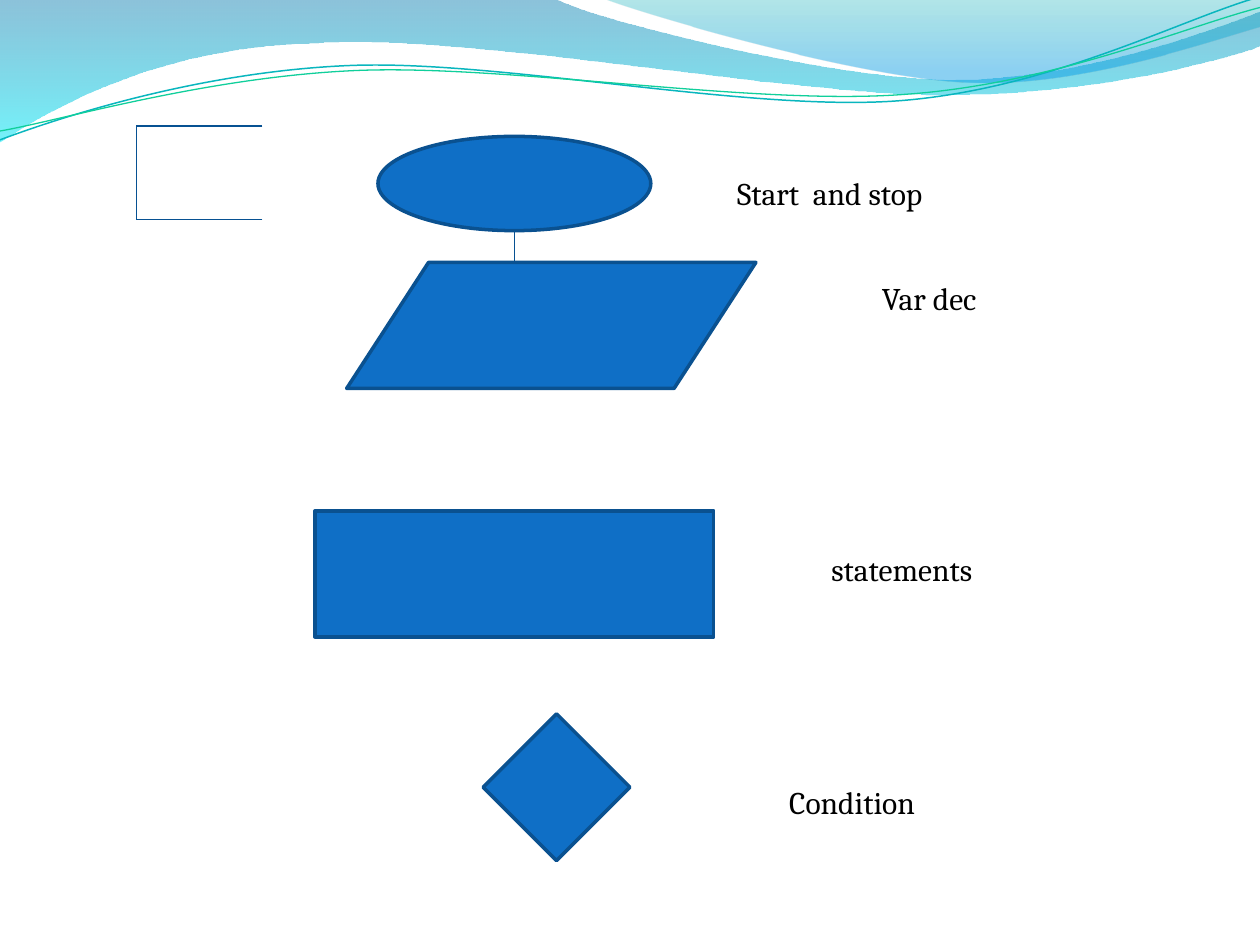
from math import cos, radians, sin

from lxml import etree
from pptx import Presentation
from pptx.dml.color import RGBColor
from pptx.enum.shapes import MSO_CONNECTOR, MSO_SHAPE
from pptx.enum.text import MSO_AUTO_SIZE
from pptx.oxml.ns import qn
from pptx.util import Cm, Pt

STRAIGHT = MSO_CONNECTOR.STRAIGHT
OVAL = MSO_SHAPE.OVAL
RECTANGLE = MSO_SHAPE.RECTANGLE
INPUT_OUTPUT = MSO_SHAPE.FLOWCHART_DATA
DIAMOND = MSO_SHAPE.DIAMOND
FIT_TEXT = MSO_AUTO_SIZE.SHAPE_TO_FIT_TEXT

THEME = {
    "font": "Cambria", "size": 18, "text": "000000",
    "fill": "0F6FC6", "outline": "0A5190", "outline_width": 2,
    "connector": "075192", "connector_width": 0.75,
    "wide_wave": [(0, "0079AD", 45), (100, "00E9F7", 55)],
    "right_wave": [(0, "00ABB4", 30), (80, "0099E4", 45), (100, "0099E4", 45)],
    "teal": "09B6BE", "teal_width": 0.85,
    "green": "10CF9B", "green_width": 0.75,
}

CURVE_UNIT = 2.54
RIBBON_TILT = 357.3

WAVES = [
    ("wide_wave", [
        [(0, 0)], [(4.4, -0.01)],
        [(4.76, 0.17), (6.64, 0.63), (7.58, 0.63)],
        [(8.53, 0.63), (9.58, 0.26), (10, 0.09)],
        [(10.01, 0.36)],
        [(9.83, 0.44), (8.7, 0.76), (7.46, 0.75)],
        [(6.22, 0.75), (3.82, 0.28), (2.57, 0.34)],
        [(1.29, 0.36), (0.46, 0.83), (-0.01, 1.13)],
        [(0, 0)],
    ]),
    ("right_wave", [
        [(4.79, -0.01)],
        [(5.09, 0.11), (6.82, 0.62), (7.69, 0.65)],
        [(8.56, 0.69), (9.61, 0.32), (10, 0.21)],
        [(10, 0)], [(4.79, -0.01)],
    ]),
]

RIBBONS = [
    ("teal", (4.99, 0.58), [
        [(0, 1.11)],
        [(0.48, 0.93), (1.58, 0.57), (2.77, 0.52)],
        [(3.95, 0.47), (5.93, 0.89), (7.13, 0.8)],
        [(8.33, 0.71), (9.38, 0.15), (9.98, -0.02)],
    ]),
    ("green", (5, 0.59), [
        [(0, 1.04)],
        [(0.47, 0.96), (1.64, 0.61), (2.83, 0.56)],
        [(4.03, 0.51), (5.97, 0.84), (7.17, 0.75)],
        [(8.36, 0.67), (9.41, 0.21), (10, 0.06)],
    ]),
]

SYMBOLS = [
    (OVAL, (7.62, 2.75, 5.5, 1.9), "Start  and stop", (14.61, 3.39, 4.52, 1.03)),
    (RECTANGLE, (6.35, 10.3, 8.04, 2.54), "statements", (16.51, 10.97, 3.56, 1.03)),
    (INPUT_OUTPUT, (6.99, 5.29, 8.25, 2.54), "Var dec", (17.53, 5.5, 2.54, 1.8)),
    (DIAMOND, (9.74, 14.39, 2.96, 2.96), "Condition", (15.66, 15.66, 3.33, 1.8)),
]

ARROW = ((10.37, 4.66), (10.37, 5.93))

BRACKET = [
    ((5.29, 2.54), (2.75, 2.54)),
    ((5.29, 4.42), (2.75, 4.42)),
    ((2.75, 2.54), (2.75, 4.42)),
]


def lengths(values):
    return [Cm(value) for value in values]


def color(name):
    return RGBColor.from_string(THEME[name])


def set_line(item, color_name, width_name):
    item.line.color.rgb = color(color_name)
    item.line.width = Pt(THEME[width_name])


def rotate(point, centre, degrees):
    cosine, sine = cos(radians(degrees)), sin(radians(degrees))
    x, y = point[0] - centre[0], point[1] - centre[1]
    return centre[0] + x * cosine - y * sine, centre[1] + x * sine + y * cosine


def add_outline(page, segments, closed):
    start, *rest = [[Cm(value * CURVE_UNIT) for value in point]
                    for segment in segments for point in segment]
    builder = page.shapes.build_freeform(*start)
    builder.add_line_segments(rest, close=closed)
    outline = builder.convert_to_shape()
    outline.shadow.inherit = False
    steps = iter(list(outline._element.iter(qn("a:lnTo"))))
    for segment in segments[1:]:
        first, *others = [next(steps) for point in segment]
        if others:
            first.tag = qn("a:cubicBezTo")
            for step in others:
                first.append(step[0])
                step.getparent().remove(step)
    return outline


def add_wave(page, name, segments):
    wave = add_outline(page, segments, True)
    wave.line.fill.background()
    gradient = etree.Element(qn("a:gradFill"), rotWithShape="1")
    stops = etree.SubElement(gradient, qn("a:gsLst"))
    for position, rgb, opacity in THEME[name]:
        stop = etree.SubElement(stops, qn("a:gs"), pos=str(position * 1000))
        tint = etree.SubElement(stop, qn("a:srgbClr"), val=rgb)
        etree.SubElement(tint, qn("a:alpha"), val=str(opacity * 1000))
    etree.SubElement(gradient, qn("a:lin"), ang="5400000", scaled="0")
    wave._element.spPr.find(qn("a:custGeom")).addnext(gradient)


def add_ribbon(page, name, centre, segments):
    level = [[rotate(point, centre, -RIBBON_TILT) for point in segment]
             for segment in segments]
    ribbon = add_outline(page, level, False)
    ribbon.rotation = RIBBON_TILT
    ribbon.fill.background()
    set_line(ribbon, name, name + "_width")


def add_symbol(page, kind, area):
    symbol = page.shapes.add_shape(kind, *lengths(area))
    symbol.shadow.inherit = False
    symbol.fill.solid()
    symbol.fill.fore_color.rgb = color("fill")
    set_line(symbol, "outline", "outline_width")


def add_label(page, text, area):
    box = page.shapes.add_textbox(*lengths(area))
    box.text_frame.word_wrap = True
    box.text_frame.auto_size = FIT_TEXT
    para = box.text_frame.paragraphs[0]
    span = para.add_run()
    span.text = text
    span.font.name = THEME["font"]
    span.font.size = Pt(THEME["size"])
    span.font.color.rgb = color("text")


def add_line(page, start, end, arrow=False):
    connector = page.shapes.add_connector(STRAIGHT, *lengths(start + end))
    set_line(connector, "connector", "connector_width")
    if arrow:
        etree.SubElement(connector.line._get_or_add_ln(), qn("a:tailEnd"), type="triangle")
    etree.SubElement(connector._element.spPr, qn("a:effectLst"))


def main():
    deck = Presentation()
    deck.slide_width, deck.slide_height = Cm(25.4), Cm(19.05)
    page = deck.slides.add_slide(deck.slide_layouts[6])
    for name, segments in WAVES:
        add_wave(page, name, segments)
    for name, centre, segments in RIBBONS:
        add_ribbon(page, name, centre, segments)
    for kind, area, text, text_area in SYMBOLS:
        add_symbol(page, kind, area)
        add_label(page, text, text_area)
        if kind == OVAL:
            add_line(page, *ARROW, arrow=True)
    for start, end in BRACKET:
        add_line(page, start, end)
    deck.save("out.pptx")


if __name__ == "__main__":
    main()
